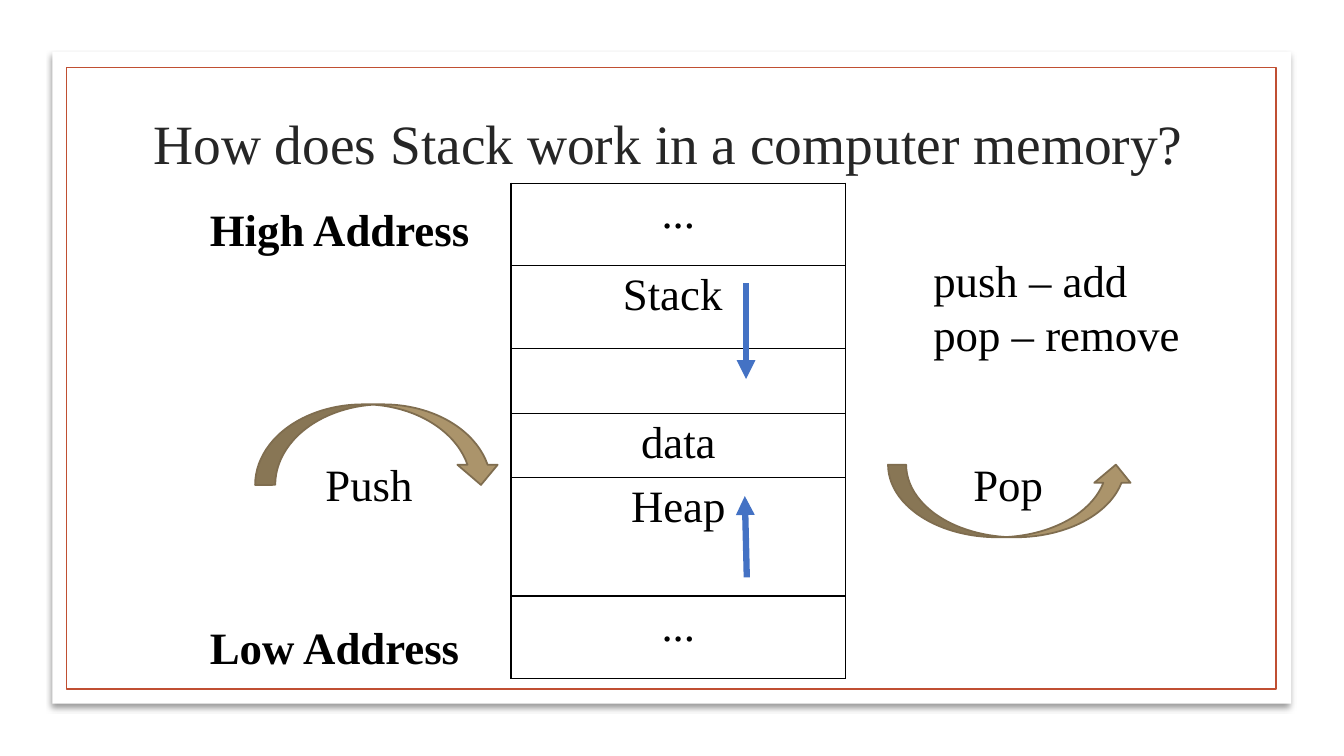
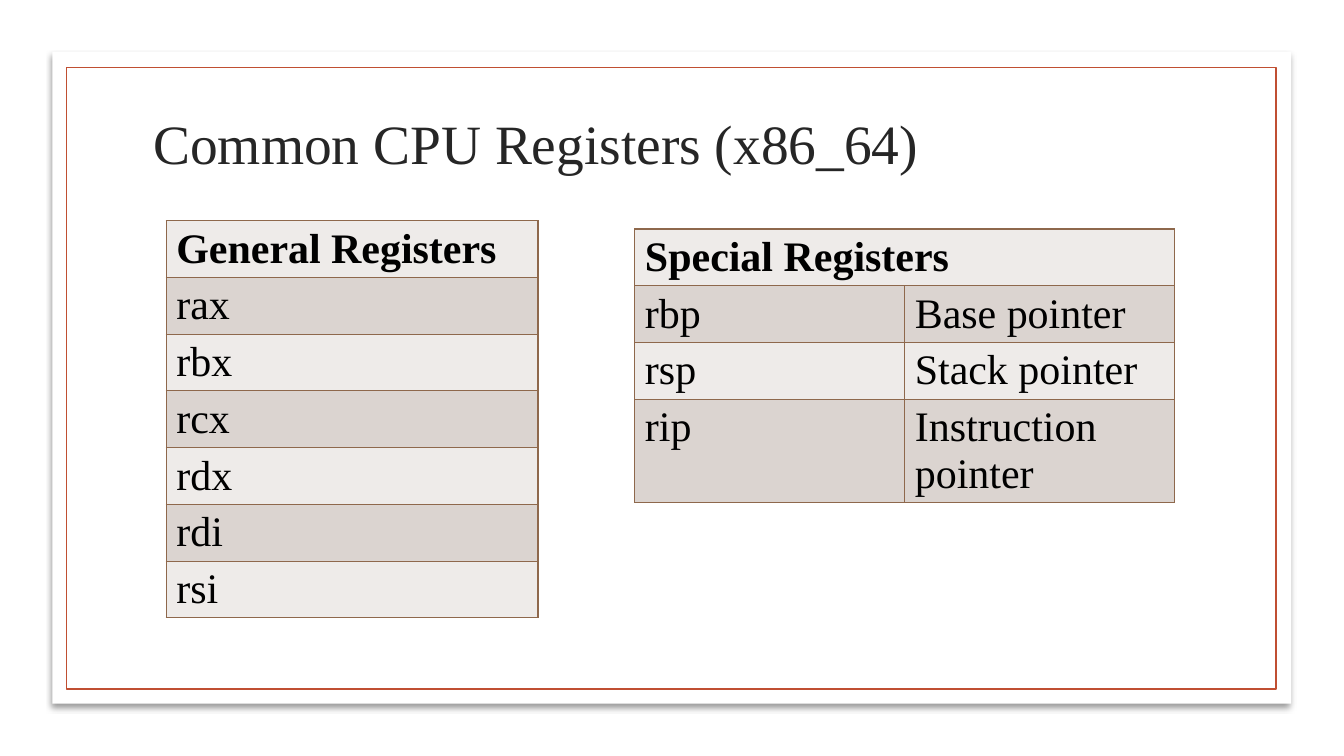
from lxml.etree import SubElement
from pptx import Presentation
from pptx.dml.color import RGBColor
from pptx.enum.shapes import MSO_CONNECTOR as CONN, MSO_SHAPE as SHAPE
from pptx.enum.text import MSO_ANCHOR as ANCHOR, MSO_AUTO_SIZE as AUTO, PP_ALIGN as ALIGN
from pptx.oxml.ns import qn
from pptx.util import Cm, Pt

WHITE = RGBColor(0xFF, 0xFF, 0xFF)
BLACK = RGBColor(0x00, 0x00, 0x00)
CHARCOAL = RGBColor(0x26, 0x26, 0x26)
RUST = RGBColor(0xC0, 0x4F, 0x32)
BLUE = RGBColor(0x44, 0x72, 0xC4)
TAN = RGBColor(0xAB, 0x94, 0x6B)
DARK_TAN = RGBColor(0x7F, 0x6D, 0x4F)
BROWN = RGBColor(0x8E, 0x68, 0x4C)
BANDS = (RGBColor(0xEE, 0xEB, 0xE9), RGBColor(0xDB, 0xD4, 0xD0))


class Deck:
    """Holds the shared style and the current slide, and draws its elements."""

    font = {"name": "Times New Roman", "size": Pt(32), "bold": False}

    def __init__(self):
        self.prs = Presentation()
        self.prs.slide_width, self.prs.slide_height = Cm(33.87), Cm(19.05)
        self.s = None

    def fill_text(self, tf, text, color=BLACK, align=ALIGN.LEFT, **changes):
        for i, line in enumerate(text.split("\n")):
            p = tf.add_paragraph() if i else tf.paragraphs[0]
            p.alignment = align
            r = p.add_run()
            r.text = line
            for name, value in {**self.font, **changes}.items():
                setattr(r.font, name, value)
            r.font.color.rgb = color

    def slide(self, title):
        self.s = self.prs.slides.add_slide(self.prs.slide_layouts[5])
        panel = self.shape(SHAPE.RECTANGLE, 1.32, 1.3, 31.22, 16.43, fill=WHITE)
        effects = panel.element.spPr.find(qn("a:effectLst"))
        shadow = SubElement(effects, qn("a:outerShdw"), blurRad=str(Pt(4)),
                            dist=str(Pt(3)), dir="5400000", algn="t", rotWithShape="0")
        tint = SubElement(shadow, qn("a:srgbClr"), val=str(BLACK))
        SubElement(tint, qn("a:alpha"), val="40000")
        self.shape(SHAPE.RECTANGLE, 1.68, 1.7, 30.48, 15.67, line=RUST)
        sp = self.s.shapes.title
        place = {"left": 3.61, "top": 2.72, "width": 26.67, "height": 1.75}
        for name, value in place.items():
            setattr(sp, name, Cm(value))
        style = {"auto_size": AUTO.NONE, "word_wrap": True,
                 "vertical_anchor": ANCHOR.MIDDLE}
        for name, value in style.items():
            setattr(sp.text_frame, name, value)
        self.fill_text(sp.text_frame, title, CHARCOAL, size=Pt(39.6))
        self.s.shapes.element.append(sp.element)

    def shape(self, kind, x, y, w, h, fill=None, line=None, flip=False):
        sp = self.s.shapes.add_shape(kind, Cm(x), Cm(y), Cm(w), Cm(h))
        sp.shadow.inherit = False
        if fill is None:
            sp.fill.background()
        else:
            sp.fill.solid()
            sp.fill.fore_color.rgb = fill
        if line is None:
            sp.line.fill.background()
        else:
            sp.line.color.rgb = line
            sp.line.width = Pt(1.25)
        if flip:
            sp.element.spPr.find(qn("a:xfrm")).set("flipV", "1")
        return sp

    def text(self, text, x, y, w, h=1.63, **changes):
        tf = self.s.shapes.add_textbox(Cm(x), Cm(y), Cm(w), Cm(h)).text_frame
        tf.word_wrap = True
        self.fill_text(tf, text, **changes)

    def arrow(self, x1, y1, x2, y2):
        c = self.s.shapes.add_connector(CONN.STRAIGHT, Cm(x1), Cm(y1), Cm(x2), Cm(y2))
        c.line.color.rgb = BLUE
        c.line.width = Pt(4.5)
        SubElement(c.element.spPr.find(qn("a:ln")), qn("a:tailEnd"), type="triangle")
        SubElement(c.element.spPr, qn("a:effectLst"))

    def border(self, cell, color):
        tc_pr = cell._tc.get_or_add_tcPr()
        for side in "LRTB":
            ln = SubElement(tc_pr, qn(f"a:ln{side}"), w=str(Pt(1)))
            SubElement(SubElement(ln, qn("a:solidFill")), qn("a:srgbClr"), val=str(color))

    def table(self, rows, x, y, col_width, heights, line, bands=(), header=False, **changes):
        n = len(rows[-1])
        tb = self.s.shapes.add_table(len(rows), n, Cm(x), Cm(y), Cm(col_width * n),
                                     Cm(sum(heights))).table
        tb.first_row = tb.horz_banding = False
        for i, (row, height) in enumerate(zip(rows, heights)):
            tb.rows[i].height = Cm(height)
            for j in range(n):
                cell = tb.cell(i, j)
                self.border(cell, line)
                if bands:
                    cell.fill.solid()
                    cell.fill.fore_color.rgb = bands[i % len(bands)]
                else:
                    cell.fill.background()
                if j < len(row) and row[j]:
                    self.fill_text(cell.text_frame, row[j], bold=header and i == 0, **changes)
            if len(row) < n:
                tb.cell(i, 0).merge(tb.cell(i, n - 1))


def stack_slide(deck):
    deck.slide("How does Stack work in a computer memory?")
    deck.text("push – add\npop – remove", 23.27, 6.25, 8.03, 3)
    memory = ["...", "Stack ", "", "data", "Heap", "..."]
    deck.table([[part] for part in memory], 12.88, 4.62, 8.43,
               [2.08, 2.08, 1.63, 1.63, 2.98, 2.08], BLACK, align=ALIGN.CENTER)
    deck.arrow(18.8, 7.14, 18.8, 9.55)
    deck.arrow(18.82, 14.55, 18.77, 12.5)
    for label, x in (("Push", 7.95), ("Pop", 24.28)):
        deck.text(label, x, 11.38, 2.87)
    for x, y, h, flip in ((6.43, 10.19, 2.03, False), (22.38, 11.71, 1.83, True)):
        deck.shape(SHAPE.CURVED_DOWN_ARROW, x, y, 6.2, h, TAN, DARK_TAN, flip)
    for label, y in (("High Address", 4.95), ("Low Address", 15.49)):
        deck.text(label, 5.04, y, 8, bold=True)


def registers_slide(deck):
    deck.slide("Common CPU Registers (x86_64)")
    style = {"line": BROWN, "bands": BANDS, "header": True, "size": Pt(30)}
    general = ["General Registers", "rax", "rbx", "rcx", "rdx", "rdi", "rsi"]
    deck.table([[name] for name in general], 4.19, 5.56, 9.37,
               [1.43] * len(general), **style)
    special = [["Special Registers"], ["rbp", "Base pointer"],
               ["rsp", "Stack pointer"], ["rip", "Instruction pointer"]]
    deck.table(special, 16, 5.77, 6.8, [1.43, 1.43, 1.43, 2.59], **style)


def main():
    deck = Deck()
    stack_slide(deck)
    registers_slide(deck)
    deck.prs.save("out.pptx")


if __name__ == "__main__":
    main()
